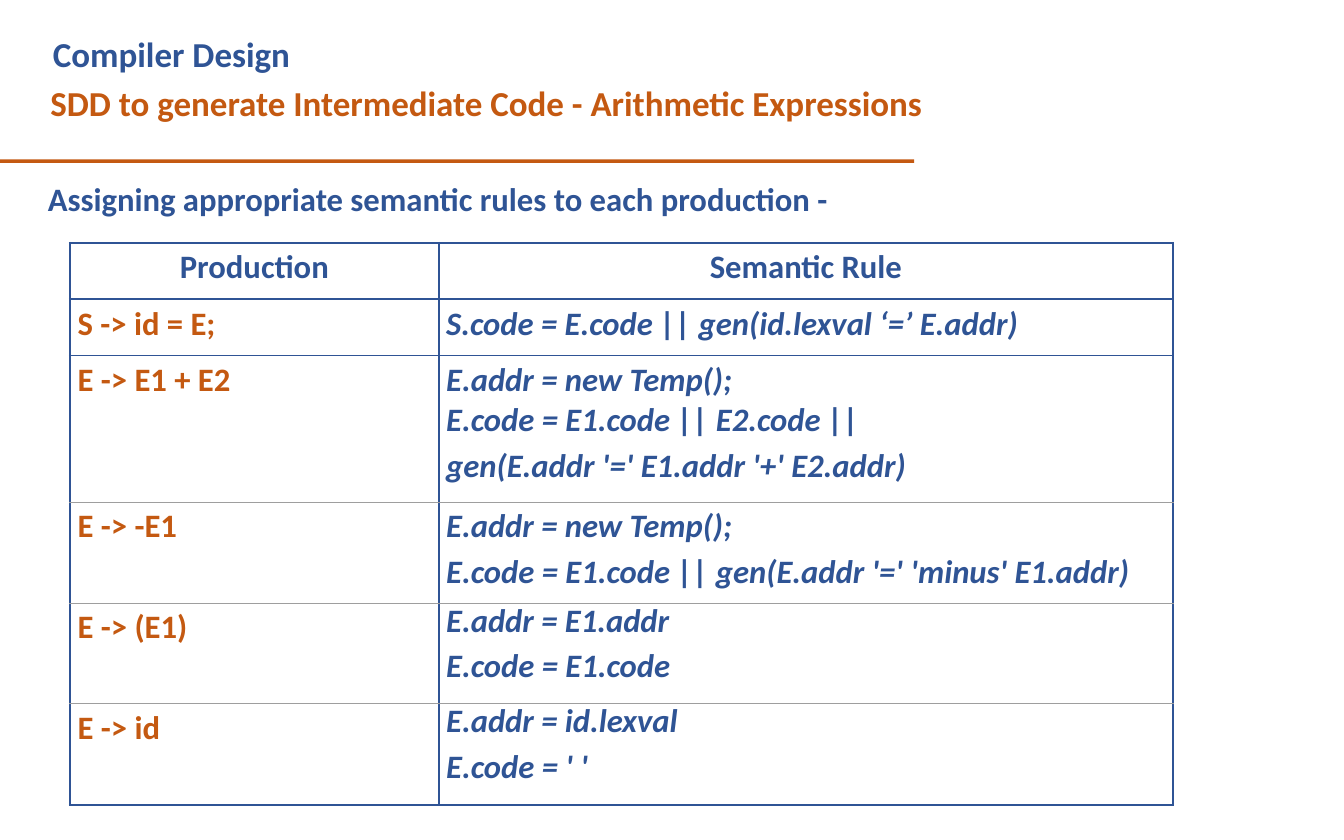
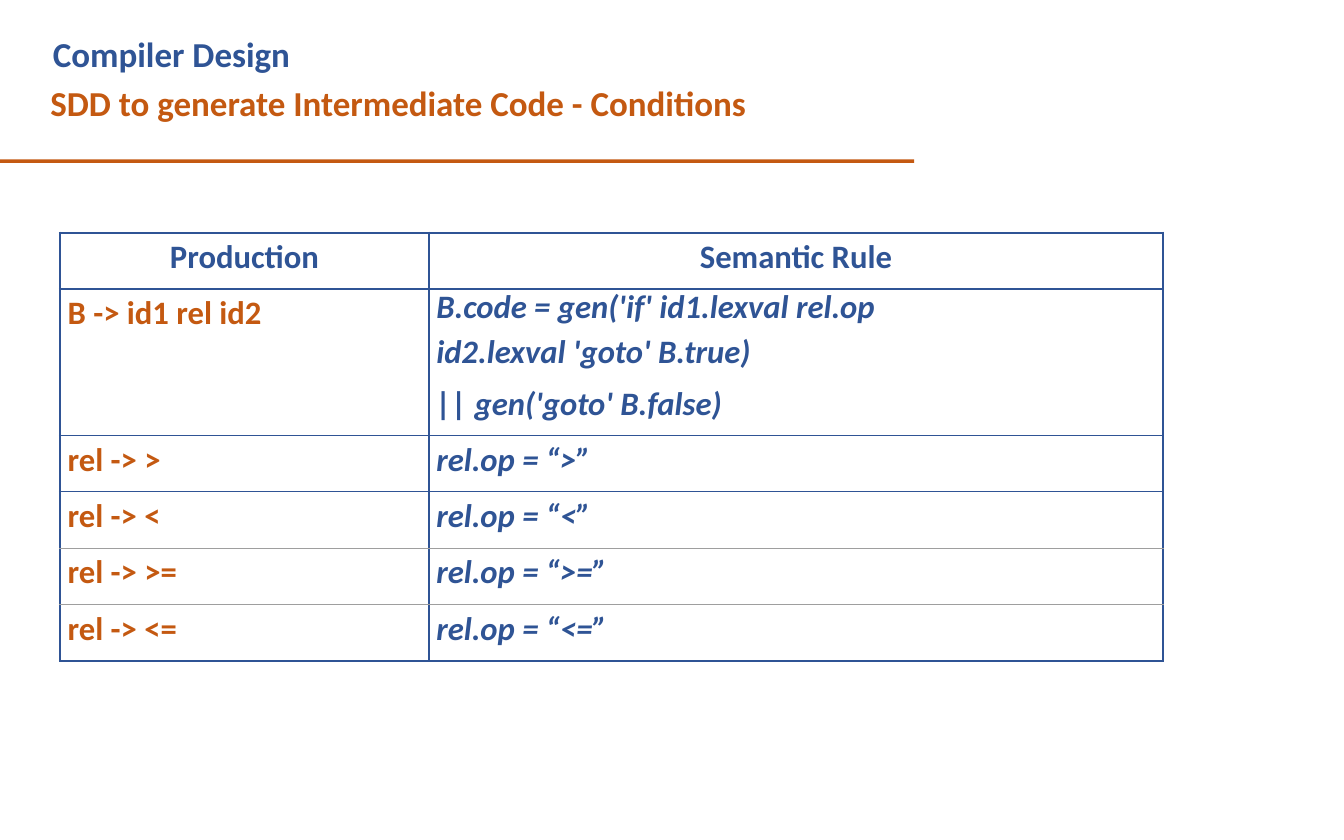
"""Two Compiler Design slides on syntax-directed definitions for intermediate code."""
from dataclasses import dataclass
from typing import Optional

from lxml import etree
from pptx import Presentation
from pptx import util as u
from pptx.dml.color import RGBColor
from pptx.enum import shapes, text
from pptx.oxml import ns

COLOURS = {"blue": "2F5495", "orange": "C45911", "grey": "9E9E9E"}
FONT = "Calibri"
TITLE_SIZE = 30
BODY_SIZE = 28
COLUMN_WIDTHS = (316, 629.5)
HEADINGS = ("Production", "Semantic Rule")
HEADING_HEIGHT = 48.3
CELL_INDENT = 6.5
CELL_TOP = 4.1


@dataclass(frozen=True)
class Border:
    """Colour and width of a table border."""
    colour: str
    width: float


@dataclass(frozen=True)
class Rule:
    """A production with its semantic rule lines; tight rules start at the row's top edge."""
    production: str
    lines: tuple[str, ...]
    gaps: tuple[float, ...] = ()
    height: float = HEADING_HEIGHT
    tight: bool = False


@dataclass(frozen=True)
class Lesson:
    """The content of one slide."""
    topic: str
    left: float
    top: float
    blue_dividers: int
    rules: tuple[Rule, ...]
    intro: Optional[str] = None


FRAME = Border("blue", 2.25)
BLUE_DIVIDER = Border("blue", 0.75)
GREY_DIVIDER = Border("grey", 0.75)

LESSONS = (
    Lesson("Arithmetic Expressions", 60, 208.3, 1, (
        Rule("S -> id = E;", ("S.code = E.code || gen(id.lexval ‘=’ E.addr)",)),
        Rule("E -> E1 + E2", ("E.addr = new Temp();", "E.code = E1.code || E2.code ||",
                              "gen(E.addr '=' E1.addr '+' E2.addr)"), (0, 5), 125.5),
        Rule("E -> -E1", ("E.addr = new Temp();",
                          "E.code = E1.code || gen(E.addr '=' 'minus' E1.addr)"), (5,), 86.5),
        Rule("E -> (E1)", ("E.addr = E1.addr", "E.code = E1.code"), (5,), 86.5, True),
        Rule("E -> id", ("E.addr = id.lexval", "E.code = ' '"), (5,), 86.5, True),
    ), "Assigning appropriate semantic rules to each production -"),
    Lesson("Conditions", 51.5, 199.5, 2, (
        Rule("B -> id1 rel id2", ("B.code = gen('if' id1.lexval rel.op",
                                  "id2.lexval 'goto' B.true)", "|| gen('goto' B.false)"),
             (5, 10), 125.5, True),
        *(Rule(f"rel -> {sign}", (f"rel.op = “{sign}”",)) for sign in (">", "<", ">=", "<=")),
    )),
)


def rgb(colour: str) -> RGBColor:
    """Look up a named colour."""
    return RGBColor.from_string(COLOURS[colour])


def style(paragraph, colour: str, size: float = BODY_SIZE, italic: bool = False) -> None:
    """Format every run of a paragraph."""
    for run in paragraph.runs:
        run.font.name = FONT
        run.font.size = u.Pt(size)
        run.font.bold = True
        run.font.italic = italic
        run.font.color.rgb = rgb(colour)


def add_label(slide, label: str, left: float, top: float, width: float, height: float,
              top_inset: float):
    """Add a wrapping text box and return its paragraphs."""
    frame = slide.shapes.add_textbox(*map(u.Pt, (left, top, width, height))).text_frame
    frame.word_wrap = True
    frame.margin_left = frame.margin_right = frame.margin_bottom = 0
    frame.margin_top = u.Pt(top_inset)
    frame.text = label
    return frame.paragraphs


def add_header(slide, topic: str) -> None:
    """Draw the course name, the slide topic and the line below them."""
    course, subject = add_label(
        slide, f"Compiler Design\nSDD to generate Intermediate Code - {topic}",
        42.5, 21, 750, 85.5, 7)
    for paragraph, colour, indent in ((course, "blue", 2.9), (subject, "orange", 0.7)):
        paragraph._p.get_or_add_pPr().set("marL", str(u.Pt(indent)))
        style(paragraph, colour, TITLE_SIZE)
    subject.space_before = u.Pt(6)
    underline = slide.shapes.add_shape(
        shapes.MSO_SHAPE.RECTANGLE, 0, u.Pt(136.6), u.Pt(783.5), u.Pt(3))
    underline.shadow.inherit = False
    underline.fill.solid()
    underline.fill.fore_color.rgb = rgb("orange")
    underline.line.fill.background()


def set_borders(cell, above: Border, below: Border) -> None:
    """Frame a cell at its sides and draw the given borders above and below it."""
    properties = cell._tc.get_or_add_tcPr()
    for side, border in (("L", FRAME), ("R", FRAME), ("T", above), ("B", below)):
        line = etree.SubElement(properties, ns.qn(f"a:ln{side}"), w=str(u.Pt(border.width)))
        fill = etree.SubElement(line, ns.qn("a:solidFill"))
        etree.SubElement(fill, ns.qn("a:srgbClr"), val=COLOURS[border.colour])


def fill_cell(cell, label: str, indent: float = CELL_INDENT, top: float = CELL_TOP):
    """Write a cell's text without a background and return its paragraphs."""
    cell.fill.background()
    cell.margin_left, cell.margin_top = u.Pt(indent), u.Pt(top)
    cell.margin_right = cell.margin_bottom = 0
    cell.text_frame.text = label
    return cell.text_frame.paragraphs


def add_rule(production_cell, semantic_cell, rule: Rule) -> None:
    """Write one production and its semantic rule."""
    style(fill_cell(production_cell, rule.production)[0], "orange")
    lines = fill_cell(semantic_cell, "\n".join(rule.lines), top=0 if rule.tight else CELL_TOP)
    for line in lines:
        style(line, "blue", italic=True)
    for line, gap in zip(lines[1:], rule.gaps):
        line.space_before = u.Pt(gap)
    if rule.tight:
        lines[0].line_spacing = u.Pt(32.5)


def add_rule_table(slide, lesson: Lesson) -> None:
    """Draw the table of productions and semantic rules."""
    heights = [HEADING_HEIGHT, *(rule.height for rule in lesson.rules)]
    table = slide.shapes.add_table(
        len(heights), len(COLUMN_WIDTHS), u.Pt(lesson.left), u.Pt(lesson.top),
        u.Pt(sum(COLUMN_WIDTHS)), u.Pt(sum(heights))).table
    table.first_row = table.horz_banding = False
    for column, width in zip(table.columns, COLUMN_WIDTHS):
        column.width = u.Pt(width)
    greys = len(lesson.rules) - 1 - lesson.blue_dividers
    edges = [FRAME, FRAME, *[BLUE_DIVIDER] * lesson.blue_dividers,
             *[GREY_DIVIDER] * greys, FRAME]
    for row, height, above, below in zip(table.rows, heights, edges, edges[1:]):
        row.height = u.Pt(height)
        for cell in row.cells:
            set_borders(cell, above, below)
    for cell, heading in zip(table.rows[0].cells, HEADINGS):
        paragraph = fill_cell(cell, heading, indent=0)[0]
        paragraph.alignment = text.PP_ALIGN.CENTER
        style(paragraph, "blue")
    for index, rule in enumerate(lesson.rules, start=1):
        add_rule(table.cell(index, 0), table.cell(index, 1), rule)


def main() -> None:
    """Build and save the presentation."""
    deck = Presentation()
    deck.slide_width, deck.slide_height = u.Pt(1152), u.Pt(720)
    for lesson in LESSONS:
        slide = deck.slides.add_slide(deck.slide_layouts[6])
        add_header(slide, lesson.topic)
        if lesson.intro:
            style(add_label(slide, lesson.intro, 41, 152, 671, 35.5, 1)[0], "blue")
        add_rule_table(slide, lesson)
    deck.save("out.pptx")


if __name__ == "__main__":
    main()
